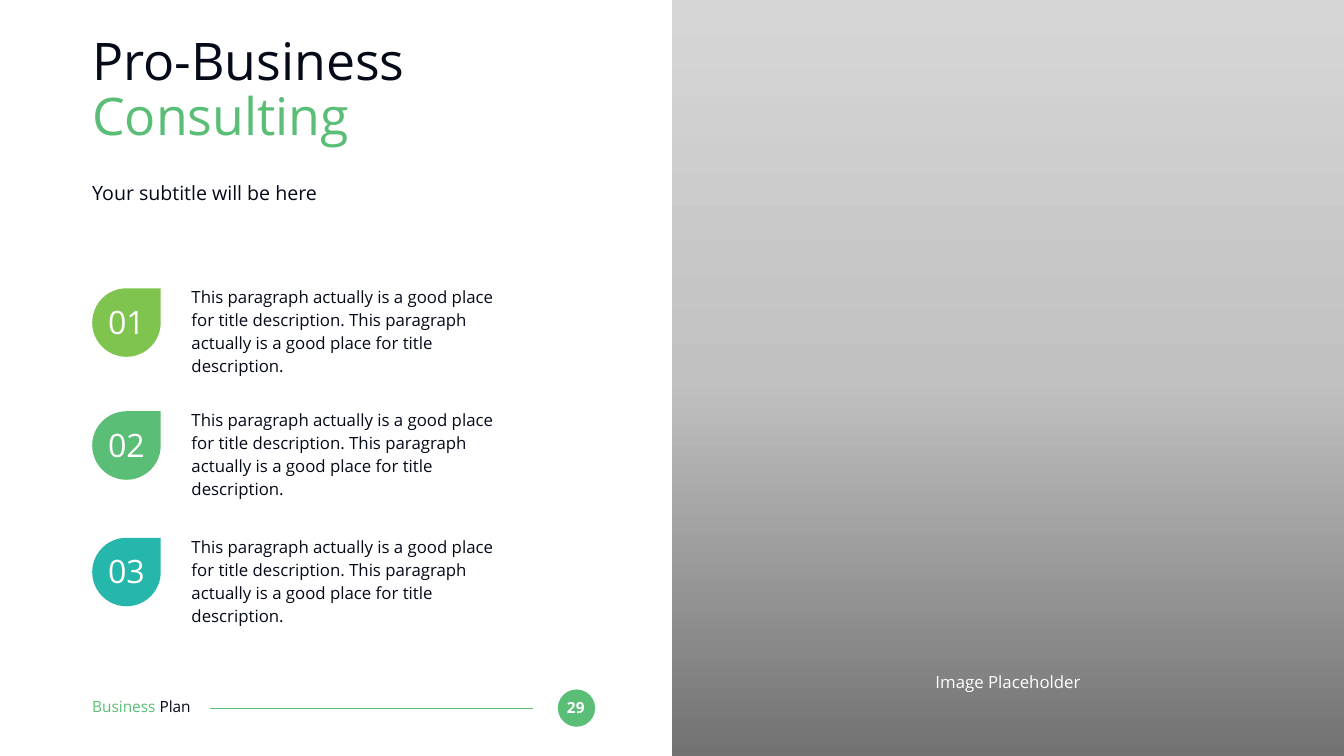
from copy import deepcopy
from typing import NamedTuple

from lxml.etree import SubElement
from pptx import Presentation
from pptx.dml.color import RGBColor
from pptx.enum.shapes import MSO_CONNECTOR, MSO_SHAPE
from pptx.enum.text import MSO_ANCHOR, MSO_AUTO_SIZE, PP_ALIGN
from pptx.oxml.ns import qn
from pptx.util import Inches, Pt

COLUMNS, ROWS = 26.67, 15
UNIT = Inches(1)
FONT = "Open Sans"
INK = RGBColor(0x05, 0x0A, 0x19)
WHITE = RGBColor(0xFF, 0xFF, 0xFF)
LIME = RGBColor(0x7F, 0xC4, 0x4F)
GREEN = RGBColor(0x5A, 0xBE, 0x76)
TEAL = RGBColor(0x25, 0xB7, 0xAC)
GRADIENT = [
    (0, RGBColor(0x72, 0x72, 0x72)),
    (0.5, RGBColor(0xC1, 0xC1, 0xC1)),
    (1, RGBColor(0xD6, 0xD6, 0xD6)),
]
DESCRIPTION = " ".join(
    ["This paragraph actually is a good place for title description."] * 2
)
STEPS = [("01", LIME, 0), ("02", GREEN, 2.44), ("03", TEAL, 4.95)]


class Box(NamedTuple):
    """An area measured in columns and rows of the page grid."""

    left: float
    top: float
    width: float
    height: float

    def inner(self, left, top, width, height):
        """Return an area offset from this one's corner."""
        return Box(self.left + left, self.top + top, width, height)

    def lengths(self):
        """Return the four lengths in slide units."""
        return [round(value * UNIT) for value in self]


def write(shape, runs, size, bold=False, **paragraph_format):
    """Fill a shape's text frame with one paragraph of coloured runs."""
    frame = shape.text_frame
    frame_format = dict(
        margin_left=0, margin_top=0, margin_right=0, margin_bottom=0,
        word_wrap=True, auto_size=MSO_AUTO_SIZE.NONE,
        vertical_anchor=MSO_ANCHOR.TOP,
    )
    for name, value in frame_format.items():
        setattr(frame, name, value)
    para = frame.paragraphs[0]
    for name, value in {"alignment": PP_ALIGN.LEFT, **paragraph_format}.items():
        setattr(para, name, value)
    for text, color in runs:
        span = para.add_run()
        span.text = text
        for name, value in dict(name=FONT, size=Pt(size), bold=bold).items():
            setattr(span.font, name, value)
        span.font.color.rgb = color


def add_text(page, box, runs, size, **formats):
    """Add a text box holding one paragraph."""
    write(page.shapes.add_textbox(*box.lengths()), runs, size, **formats)


def add_figure(page, kind, box, color=None):
    """Add a borderless preset shape, filled when a colour is given."""
    shape = page.shapes.add_shape(kind, *box.lengths())
    shape.shadow.inherit = False
    shape.line.fill.background()
    if color is not None:
        shape.fill.solid()
        shape.fill.fore_color.rgb = color
    return shape


def add_heading(page, box):
    """Place the title and the subtitle below it."""
    title = page.shapes.title
    places = box.inner(0, 0, box.width, 2.52).lengths()
    for name, value in zip(("left", "top", "width", "height"), places):
        setattr(title, name, value)
    write(title, [("Pro-Business ", INK), ("Consulting", GREEN)], 74,
          line_spacing=0.88)
    add_text(page, box.inner(0, 2.86, box.width, 0.49),
             [("Your subtitle will be here", INK)], 28)


def add_step(page, box, number, color):
    """Place a numbered teardrop with its description."""
    add_figure(page, MSO_SHAPE.TEAR, box.inner(0, 0, 1.36, 1.36), color)
    add_text(page, box.inner(0.13, 0.27, 1.1, 0.77), [(number, WHITE)], 46,
             alignment=PP_ALIGN.CENTER)
    add_text(page, box.inner(1.97, -0.08, box.width - 1.97, 1.53),
             [(DESCRIPTION, INK)], 24, line_spacing=1.14)


def add_footer(page, box):
    """Place the deck name, the rule and the page number badge."""
    badge = box.inner(box.width - 0.74, 0, 0.74, 0.74)
    add_figure(page, MSO_SHAPE.OVAL, badge, GREEN)
    add_text(page, badge.inner(0.06, 0.17, 0.59, 0.37), [("29", WHITE)], 22,
             bold=True, alignment=PP_ALIGN.CENTER)
    left, top, width, _ = box.inner(2.33, 0.37, 6.41, 0).lengths()
    rule = page.shapes.add_connector(
        MSO_CONNECTOR.STRAIGHT, left + width, top, left, top)
    rule.line.color.rgb = GREEN
    rule.line.width = Pt(1.5)
    SubElement(rule._element.spPr, qn("a:effectLst"))
    add_text(page, box.inner(0, 0.16, 2.59, 0.37),
             [("Business ", GREEN), ("Plan", INK)], 22)


def add_image_area(page, box):
    """Place the shaded half with its caption."""
    panel = add_figure(page, MSO_SHAPE.RECTANGLE, box)
    panel.fill.gradient()
    panel.fill.gradient_angle = 90
    stop_list = next(panel._element.spPr.iter(qn("a:gsLst")))
    stop_list.append(deepcopy(stop_list[0]))
    for stop, (position, color) in zip(panel.fill.gradient_stops, GRADIENT):
        stop.position = position
        stop.color.rgb = color
    add_text(page, box.inner((box.width - 7.04) / 2, 13.32, 7.04, 0.4),
             [("Image Placeholder", WHITE)], 24, alignment=PP_ALIGN.CENTER)


def main():
    """Build and save the deck."""
    deck = Presentation()
    deck.slide_width = round(COLUMNS * UNIT)
    deck.slide_height = ROWS * UNIT
    page = deck.slides.add_slide(deck.slide_layouts.get_by_name("Title Only"))
    content = Box(1.83, 0.73, 9.98, 13.69)
    add_footer(page, content.inner(0, 12.95, content.width, 0.74))
    add_heading(page, content.inner(0, 0, 9.9, 3.35))
    for number, color, offset in STEPS:
        add_step(page, content.inner(0, 4.99 + offset, 8.25, 1.53), number, color)
    add_image_area(page, Box(COLUMNS / 2, 0, COLUMNS / 2, ROWS))
    deck.save("out.pptx")


if __name__ == "__main__":
    main()
